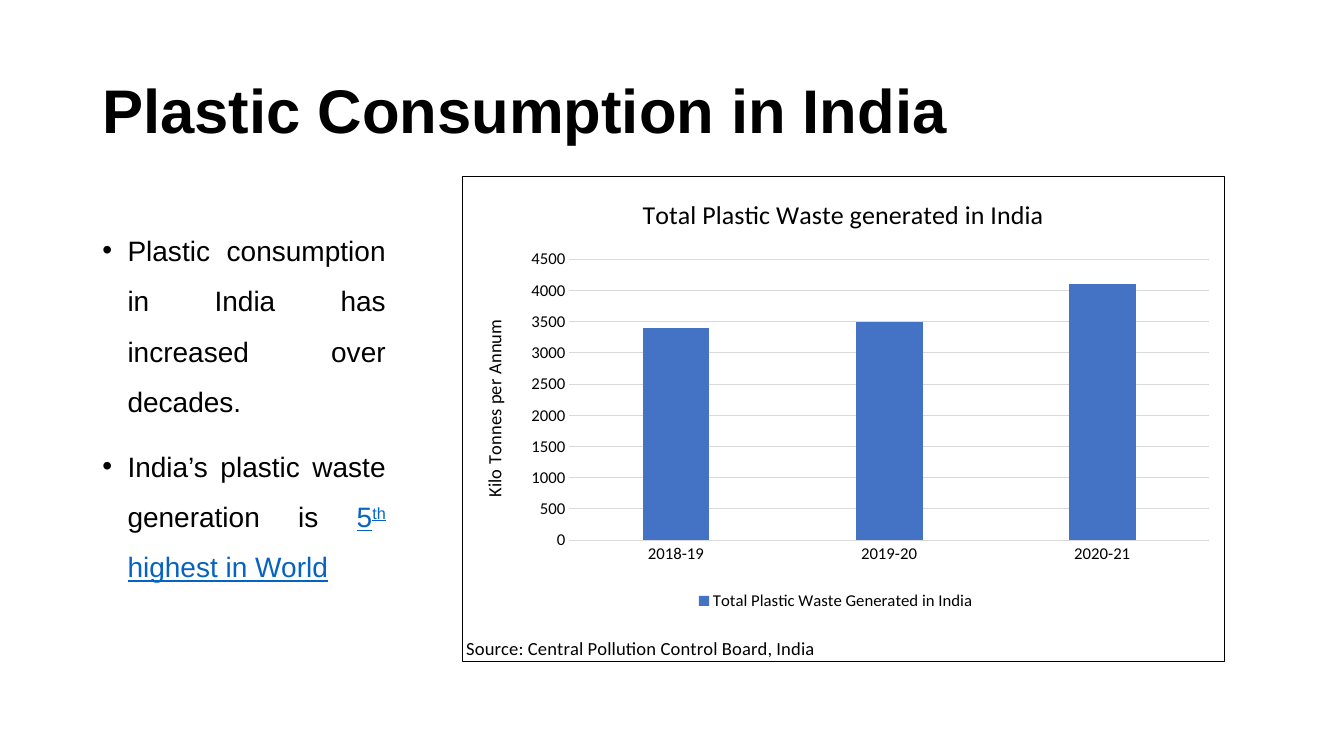
from dataclasses import dataclass

from lxml import etree
from pptx import Presentation
from pptx.chart.data import CategoryChartData
from pptx.dml.color import RGBColor
from pptx.enum.chart import XL_CHART_TYPE, XL_LEGEND_POSITION, XL_TICK_MARK
from pptx.enum.text import MSO_ANCHOR, PP_ALIGN
from pptx.oxml import parse_xml
from pptx.oxml.ns import nsdecls, qn
from pptx.util import Pt

BLACK = RGBColor(0x00, 0x00, 0x00)
LINK_BLUE = RGBColor(0x05, 0x63, 0xC1)
BAR_BLUE = RGBColor(0x44, 0x72, 0xC4)
GRID_GREY = RGBColor(0xD9, 0xD9, 0xD9)


@dataclass
class Box:
    left: float
    top: float
    width: float
    height: float

    def points(self) -> list:
        return [Pt(v) for v in (self.left, self.top, self.width, self.height)]


@dataclass
class Piece:
    text: str
    linked: bool = False
    raised: bool = False


TITLE_BOX = Box(66, 28.8, 828, 104.4)
BODY_BOX = Box(66, 151.2, 216.7, 299.5)
CHART_BOX = Box(330.2, 126, 544.6, 349.9)

BULLETS = [
    [Piece("Plastic consumption in India has increased over decades.")],
    [Piece("India’s plastic waste generation is "), Piece("5", True),
     Piece("th", True, True), Piece(" highest in World", True)],
]
WASTE = {"2018-19": 3400, "2019-20": 3500, "2020-21": 4100}


def style_font(font, size: float, name: str, color: RGBColor = BLACK, bold: bool = False) -> None:
    font.size, font.name, font.bold = Pt(size), name, bold
    font.color.rgb = color


def add_text_box(slide, box: Box, anchor: MSO_ANCHOR):
    tf = slide.shapes.add_textbox(*box.points()).text_frame
    tf.word_wrap = True
    tf.vertical_anchor = anchor
    return tf


def add_bullet(p, pieces: list[Piece], space_before: float) -> None:
    pPr = p._p.get_or_add_pPr()
    pPr.set("marL", str(Pt(18)))
    pPr.set("indent", str(-Pt(18)))
    p.alignment, p.line_spacing, p.space_before = PP_ALIGN.JUSTIFY, 1.5, Pt(space_before)
    etree.SubElement(pPr, qn("a:buFont")).set("typeface", "Arial")
    etree.SubElement(pPr, qn("a:buChar")).set("char", "•")
    for piece in pieces:
        r = p.add_run()
        r.text = piece.text
        style_font(r.font, 20, "Arial", LINK_BLUE if piece.linked else BLACK)
        r.font.underline = piece.linked
        if piece.raised:
            r._r.get_or_add_rPr().set("baseline", "30000")


def place(element, after: str | None, **fractions: float) -> None:
    """Set a manual layout, in fractions of the chart, after the named child."""
    for old in element.findall(qn("c:layout")):
        element.remove(old)
    inner = '<c:layoutTarget val="inner"/>' if after is None else ""
    modes = '<c:xMode val="edge"/><c:yMode val="edge"/>'
    values = "".join(f'<c:{k} val="{v}"/>' for k, v in fractions.items())
    layout = parse_xml(f"<c:layout {nsdecls('c')}><c:manualLayout>"
                       f"{inner}{modes}{values}</c:manualLayout></c:layout>")
    if after is None:
        element.insert(0, layout)
    else:
        element.find(qn(after)).addnext(layout)


def set_title(owner, text: str, size: float, x: float, y: float) -> None:
    title = owner.chart_title if hasattr(owner, "chart_title") else owner.axis_title
    tf = title.text_frame
    tf.text = text
    style_font(tf.paragraphs[0].runs[0].font, size, "Calibri")
    place(title._element, "c:tx", x=x, y=y)


def add_waste_chart(slide) -> None:
    data = CategoryChartData()
    data.categories = list(WASTE)
    data.add_series("Total Plastic Waste Generated in India", list(WASTE.values()))
    chart = slide.shapes.add_chart(
        XL_CHART_TYPE.COLUMN_CLUSTERED, *CHART_BOX.points(), data).chart
    style_font(chart.font, 12, "Calibri")

    # Bars
    plot = chart.plots[0]
    plot.gap_width, plot.overlap, plot.vary_by_categories = 219, -27, False
    fill = plot.series[0].format.fill
    fill.solid()
    fill.fore_color.rgb = BAR_BLUE

    # Axes and gridlines
    cat, val = chart.category_axis, chart.value_axis
    for axis in (cat, val):
        axis.major_tick_mark = axis.minor_tick_mark = XL_TICK_MARK.NONE
        style_font(axis.tick_labels.font, 12, "Calibri")
    val.minimum_scale, val.maximum_scale, val.major_unit = 0, 4500, 500
    val.format.line.fill.background()
    for line in (cat.format.line, val.major_gridlines.format.line):
        line.color.rgb = GRID_GREY
        line.width = Pt(0.75)

    # Titles, legend and plot position
    set_title(chart, "Total Plastic Waste generated in India", 18.6, 0.23, 0.03)
    set_title(cat, "Source: Central Pollution Control Board, India", 13.3, 0, 0.94)
    set_title(val, "Kilo Tonnes per Annum", 13.3, 0.02, 0.29)
    chart.has_legend = True
    chart.legend.position = XL_LEGEND_POSITION.BOTTOM
    chart.legend.include_in_layout = False
    style_font(chart.legend.font, 12, "Calibri")
    place(chart.legend._element, "c:legendPos", x=0.3, y=0.85, w=0.38, h=0.05)
    space = chart._chartSpace
    place(space.chart.plotArea, None, x=0.14, y=0.17, w=0.84, h=0.58)

    # Frame
    space.chart.addnext(parse_xml(
        f"<c:spPr {nsdecls('c', 'a')}><a:noFill/><a:ln w=\"{Pt(0.75)}\"><a:solidFill>"
        f'<a:srgbClr val="{BLACK}"/></a:solidFill></a:ln></c:spPr>'))


def main() -> None:
    prs = Presentation()
    prs.slide_width, prs.slide_height = Pt(960), Pt(540)
    s = prs.slides.add_slide(prs.slide_layouts[6])

    # Heading
    tf = add_text_box(s, TITLE_BOX, MSO_ANCHOR.MIDDLE)
    tf.text = "Plastic Consumption in India"
    p = tf.paragraphs[0]
    p.line_spacing = 0.9
    style_font(p.runs[0].font, 44, "Arial", bold=True)

    # Bullets
    tf = add_text_box(s, BODY_BOX, MSO_ANCHOR.TOP)
    for i, pieces in enumerate(BULLETS):
        p = tf.add_paragraph() if i else tf.paragraphs[0]
        add_bullet(p, pieces, 10 if i else 0)

    add_waste_chart(s)
    prs.save("out.pptx")


if __name__ == "__main__":
    main()
